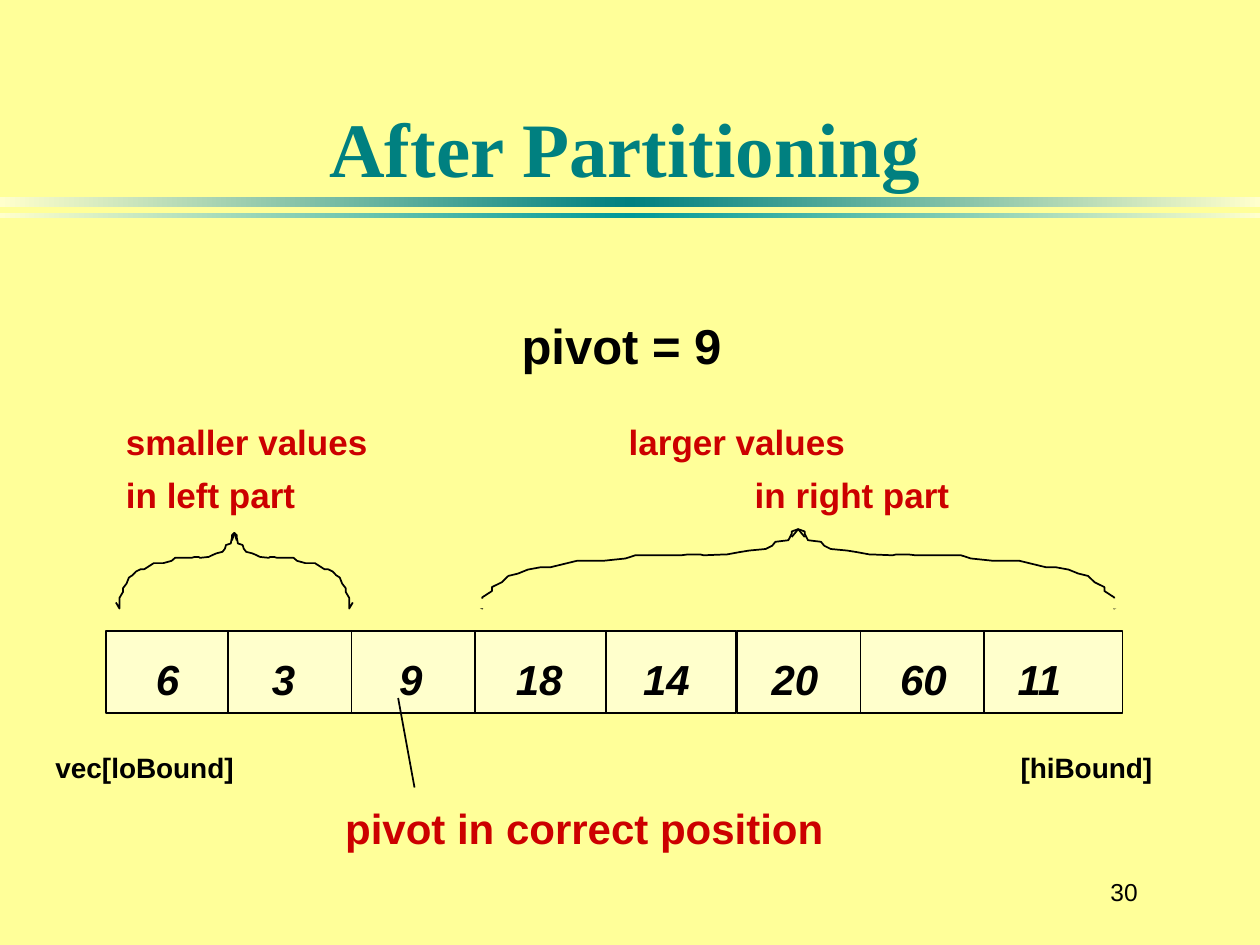
from copy import deepcopy
from dataclasses import dataclass

from lxml.etree import SubElement
from pptx import Presentation
from pptx.dml.color import RGBColor
from pptx.enum.shapes import MSO_CONNECTOR, MSO_SHAPE
from pptx.enum.text import MSO_ANCHOR, PP_ALIGN
from pptx.oxml.ns import qn
from pptx.util import Inches, Pt


@dataclass(frozen=True)
class Theme:
    background: RGBColor = RGBColor(0xFF, 0xFF, 0x99)
    cell: RGBColor = RGBColor(0xFF, 0xFF, 0xCC)
    teal: RGBColor = RGBColor(0x00, 0x80, 0x80)
    light_teal: RGBColor = RGBColor(0x00, 0x99, 0x99)
    red: RGBColor = RGBColor(0xCC, 0x00, 0x00)
    black: RGBColor = RGBColor(0x00, 0x00, 0x00)
    title_font: str = "Times New Roman"
    body_font: str = "Arial"
    title_size: int = 44
    pivot_size: int = 28
    value_size: int = 24
    part_size: int = 20
    bound_size: int = 16
    number_size: int = 14
    line_width: int = 1


THEME = Theme()

ROW_TOP, ROW_HEIGHT = 5.01, 0.65
BLOCKS = [(0.84, 5.0), (5.85, 3.06)]
DIVIDERS = [1.81, 2.79, 3.77, 4.81, 6.83, 7.81]
VALUES = {"6": 1.33, "3": 2.25, "9": 3.26, "18": 4.28,
          "14": 5.29, "20": 6.31, "60": 7.33, "11": 8.25}

# Left half of a brace: x as a share of the half width, y as a share of the height
HALF_BRACE = [
    (0, 0.92), (0.03, 1), (0.03, 0.97), (0.03, 0.86), (0.06, 0.78), (0.06, 0.73),
    (0.07, 0.71), (0.09, 0.67), (0.11, 0.59), (0.14, 0.56), (0.17, 0.51),
    (0.21, 0.48), (0.24, 0.48), (0.32, 0.4), (0.4, 0.4), (0.47, 0.37),
    (0.5, 0.33), (0.64, 0.33), (0.66, 0.32), (0.7, 0.32), (0.71, 0.33),
    (0.77, 0.32), (0.78, 0.32), (0.82, 0.29), (0.85, 0.27), (0.9, 0.25),
    (0.92, 0.21), (0.93, 0.16), (0.97, 0.14), (0.98, 0.06), (0.98, 0.03),
    (1, 0), (1.02, 0.1),
]


def add_label(slide, left, top, width, height, lines, size, color=THEME.black,
              font=THEME.body_font, bold=True, italic=False,
              align=PP_ALIGN.LEFT, anchor=MSO_ANCHOR.TOP):
    box = slide.shapes.add_textbox(Inches(left), Inches(top), Inches(width), Inches(height))
    frame = box.text_frame
    frame.margin_left = frame.margin_right = frame.margin_top = frame.margin_bottom = 0
    frame.word_wrap = True
    frame.vertical_anchor = anchor
    frame.text = "\n".join(lines)
    for paragraph in frame.paragraphs:
        paragraph.alignment = align
        for run in paragraph.runs:
            run.font.name = font
            run.font.size = Pt(size)
            run.font.bold = bold
            run.font.italic = italic
            run.font.color.rgb = color
    for paragraph in frame.paragraphs[1:]:
        paragraph.space_before = Pt(6)
    return frame


def add_plain_shape(slide, kind, left, top, width, height):
    shape = slide.shapes.add_shape(kind, Inches(left), Inches(top), Inches(width), Inches(height))
    shape.shadow.inherit = False
    shape.line.fill.background()
    return shape


def set_outline(shape):
    shape.line.color.rgb = THEME.black
    shape.line.width = Pt(THEME.line_width)


def add_title_bar(slide, top, height, middle_color):
    """Full-width bar that fades from its middle to both ends."""
    bar = add_plain_shape(slide, MSO_SHAPE.RECTANGLE, 0, top, 10, height)
    bar.fill.gradient()
    bar.fill.gradient_angle = 0
    stop_list = next(bar.element.iter(qn("a:gsLst")))
    stop_list.append(deepcopy(stop_list[0]))
    colors = (THEME.cell, middle_color, THEME.cell)
    for stop, position, color in zip(bar.fill.gradient_stops, (0, 0.5, 1), colors):
        stop.position = position
        stop.color.rgb = color


def add_line(slide, x1, y1, x2, y2):
    line = slide.shapes.add_connector(
        MSO_CONNECTOR.STRAIGHT, Inches(x1), Inches(y1), Inches(x2), Inches(y2))
    set_outline(line)
    SubElement(line.element.spPr, qn("a:effectLst"))


def add_brace(slide, left, right, top, height):
    middle = (left + right) / 2
    for end in (left, right):
        points = [(Inches(end + x * (middle - end)), Inches(top + y * height))
                  for x, y in HALF_BRACE]
        builder = slide.shapes.build_freeform(*points[0])
        builder.add_line_segments(points[1:], close=False)
        half = builder.convert_to_shape()
        half.shadow.inherit = False
        half.fill.background()
        set_outline(half)


def add_brace_end_cover(slide, left):
    cover = add_plain_shape(slide, MSO_SHAPE.OVAL, left, 4.75, 0.75, 0.08)
    cover.fill.solid()
    cover.fill.fore_color.rgb = THEME.background


def add_vector(slide):
    for left, width in BLOCKS:
        block = add_plain_shape(slide, MSO_SHAPE.RECTANGLE, left, ROW_TOP, width, ROW_HEIGHT)
        block.fill.solid()
        block.fill.fore_color.rgb = THEME.cell
        set_outline(block)
    for x in DIVIDERS:
        add_line(slide, x, ROW_TOP, x, ROW_TOP + ROW_HEIGHT)
    for value, center in VALUES.items():
        add_label(slide, center - 0.4, 5.19, 0.8, 0.4, [value], THEME.value_size,
                  italic=True, align=PP_ALIGN.CENTER, anchor=MSO_ANCHOR.MIDDLE)


def main():
    presentation = Presentation()
    presentation.slide_width, presentation.slide_height = Inches(10), Inches(7.5)
    slide = presentation.slides.add_slide(presentation.slide_layouts[6])
    slide.background.fill.solid()
    slide.background.fill.fore_color.rgb = THEME.background

    add_title_bar(slide, 1.56, 0.08, THEME.teal)
    add_title_bar(slide, 1.69, 0.04, THEME.light_teal)
    add_label(slide, 0.67, 0.33, 8.58, 1.2, ["After Partitioning"], THEME.title_size,
              THEME.teal, THEME.title_font, align=PP_ALIGN.CENTER, anchor=MSO_ANCHOR.BOTTOM)

    add_label(slide, 4.14, 2.5, 2, 0.45, ["pivot = 9"], THEME.pivot_size)
    add_label(slide, 1, 3.34, 2.5, 0.75, ["smaller values", "in left part"],
              THEME.part_size, THEME.red)
    larger = add_label(slide, 4.99, 3.34, 3.5, 0.75, ["larger values", "in right part"],
                       THEME.part_size, THEME.red)
    larger.paragraphs[1]._p.get_or_add_pPr().set("marL", str(Inches(1)))

    add_vector(slide)
    add_brace(slide, 3.75, 8.92, 4.2, 0.63)
    add_brace(slide, 0.92, 2.8, 4.23, 0.6)
    for left in (3.33, 8.5):
        add_brace_end_cover(slide, left)

    add_label(slide, 0.44, 5.96, 2, 0.27, ["vec[loBound]"], THEME.bound_size)
    add_label(slide, 8.1, 5.96, 1.4, 0.27, ["[hiBound]"], THEME.bound_size)
    add_line(slide, 3.16, 5.54, 3.29, 6.25)
    add_label(slide, 2.74, 6.37, 4.2, 0.4, ["pivot in correct position"],
              THEME.value_size, THEME.red)
    add_label(slide, 8.58, 6.83, 0.45, 0.5, ["30"], THEME.number_size, bold=False,
              align=PP_ALIGN.RIGHT, anchor=MSO_ANCHOR.MIDDLE)

    presentation.save("out.pptx")


if __name__ == "__main__":
    main()
